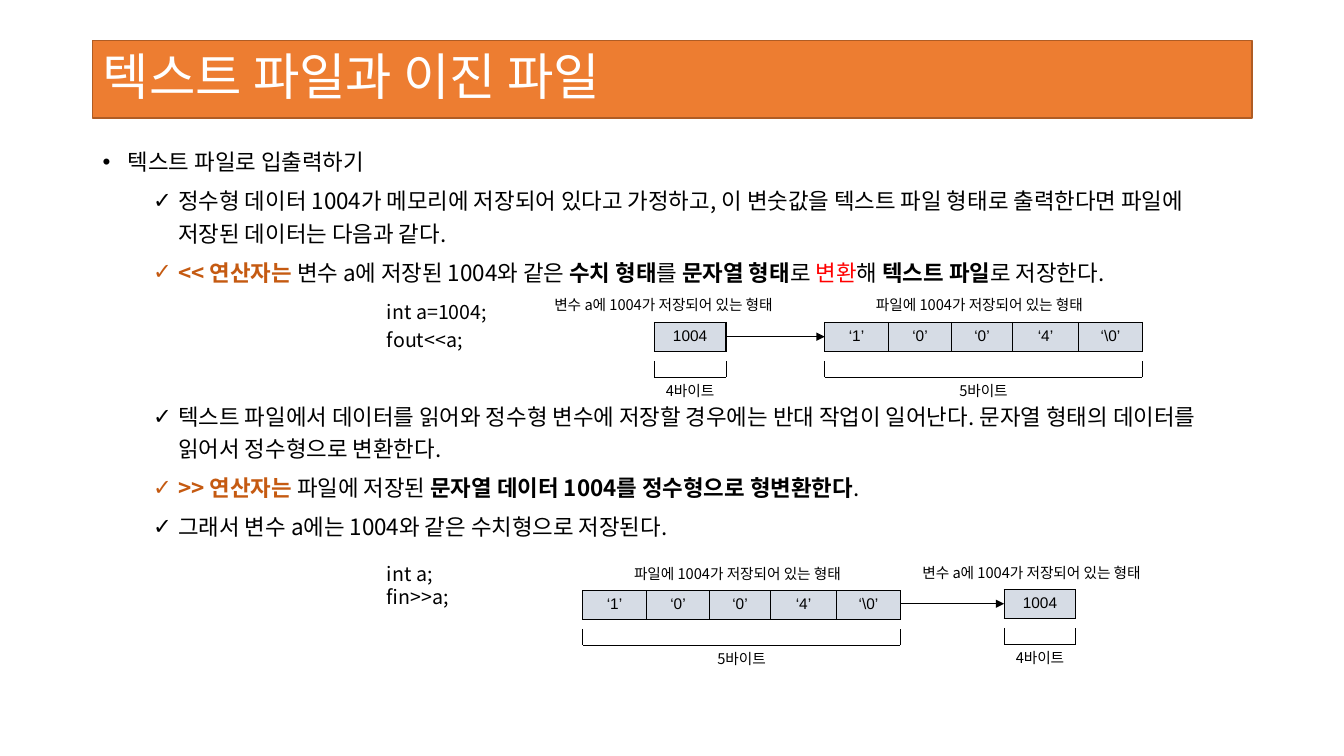
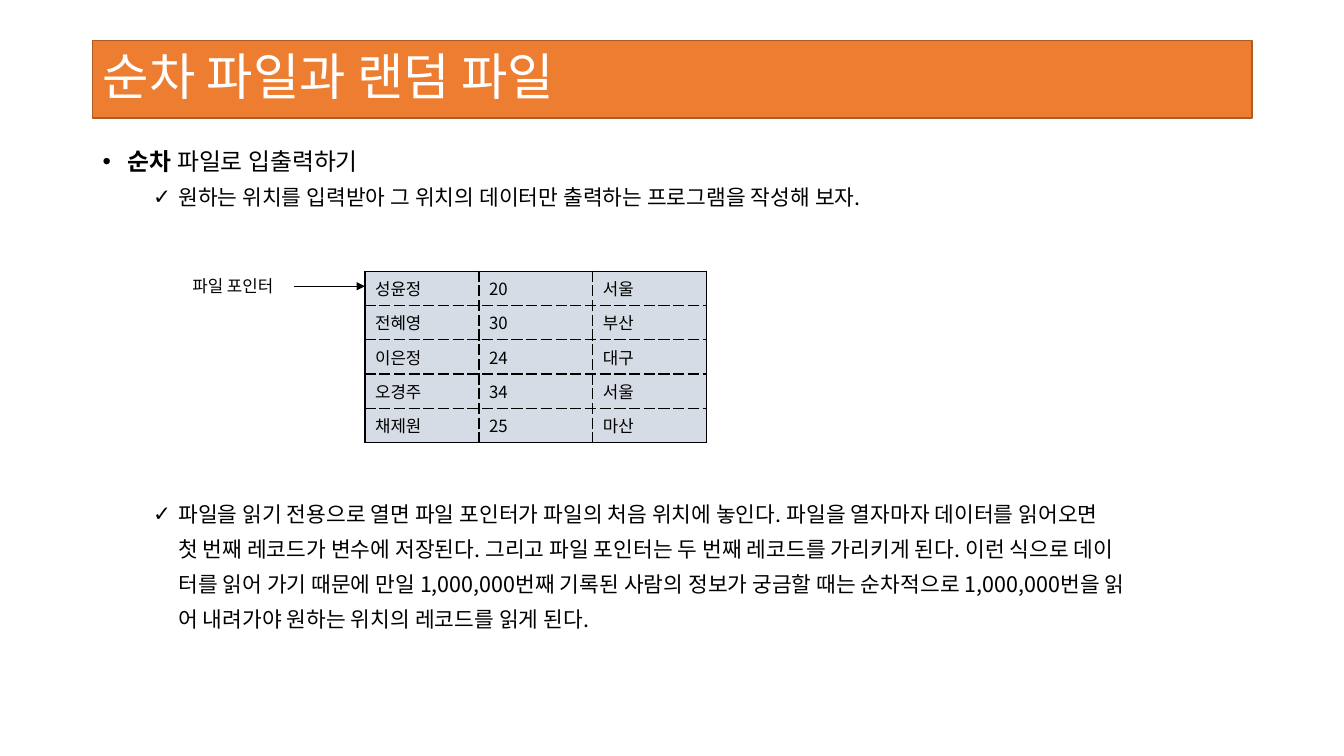
from lxml import etree
from pptx import Presentation
from pptx.dml.color import RGBColor
from pptx.enum.shapes import MSO_CONNECTOR, MSO_SHAPE
from pptx.enum.text import MSO_ANCHOR, PP_ALIGN
from pptx.oxml.ns import qn
from pptx.util import Inches, Pt

STRAIGHT = MSO_CONNECTOR.STRAIGHT
RECTANGLE = MSO_SHAPE.RECTANGLE
MIDDLE = MSO_ANCHOR.MIDDLE
LEFT, CENTER = PP_ALIGN.LEFT, PP_ALIGN.CENTER

COLORS = {
    "band": "ED7D31",
    "band_edge": "AF5C24",
    "white": "FFFFFF",
    "black": "000000",
    "operator": "C55A11",
    "alert": "FF0000",
    "cell": "D6DCE5",
}
KOREAN, LATIN = "Noto Sans CJK KR", "Arial"

# Bullet levels: character, left margin, space before
LEVELS = {
    "topic": ("•", 0.25, 10),
    "point": ("✓", 0.75, 5),
    "continued": (None, 0.75, 5),
}
CHARS = ["‘1’", "‘0’", "‘0’", "‘4’", "‘\\0’"]
CHAR_WIDTHS = [0.63, 0.63, 0.6, 0.66, 0.63]
INT_WIDTHS = [0.71]
VARIABLE_CAPTION = "변수 a에 1004가 저장되어 있는 형태"
FILE_CAPTION = "파일에 1004가 저장되어 있는 형태"


def rgb(name):
    return RGBColor.from_string(COLORS[name])


def add_run(paragraph, text, size=16, color="black", bold=False, font=KOREAN):
    run = paragraph.add_run()
    run.text = text
    run.font.size = Pt(size)
    run.font.bold = bold
    run.font.name = font
    run.font.color.rgb = rgb(color)
    east_asian = etree.SubElement(run.font._element, qn("a:ea"))
    east_asian.set("typeface", font)


def add_box(slide, left, top, width, height):
    box = slide.shapes.add_textbox(Inches(left), Inches(top), Inches(width), Inches(height))
    box.text_frame.word_wrap = True
    return box.text_frame


def next_paragraph(frame, index):
    return frame.add_paragraph() if index else frame.paragraphs[0]


def add_text(slide, left, top, width, height, *lines, align=LEFT, spacing=None, **style):
    frame = add_box(slide, left, top, width, height)
    for index, line in enumerate(lines):
        paragraph = next_paragraph(frame, index)
        paragraph.alignment = align
        if spacing:
            paragraph.line_spacing = Pt(spacing)
        add_run(paragraph, line, **style)


def add_title(slide, text):
    band = slide.shapes.add_shape(RECTANGLE, Inches(0.92), Inches(0.4), Inches(11.5), Inches(0.77))
    band.shadow.inherit = False
    band.fill.solid()
    band.fill.fore_color.rgb = rgb("band")
    band.line.color.rgb = rgb("band_edge")
    band.line.width = Pt(1)
    band.text_frame.vertical_anchor = MIDDLE
    paragraph = band.text_frame.paragraphs[0]
    paragraph.alignment = LEFT
    paragraph.line_spacing = 0.9
    add_run(paragraph, text, size=36, color="white")


def add_body(slide, items):
    """Each item: level, runs of (text, format), line height, extra format of the paragraph."""
    frame = add_box(slide, 0.92, 1.37, 11.5, 5.58)
    for index, (level, runs, size, line_height, gap) in enumerate(items):
        bullet, margin, before = LEVELS[level]
        paragraph = next_paragraph(frame, index)
        paragraph.line_spacing = Pt(line_height)
        paragraph.space_before = Pt(gap or before)
        properties = paragraph._p.get_or_add_pPr()
        properties.set("marL", str(Inches(margin)))
        properties.set("indent", str(Inches(-0.25 if bullet else 0)))
        if bullet:
            etree.SubElement(properties, qn("a:buFont")).set("typeface", LATIN)
            etree.SubElement(properties, qn("a:buChar")).set("char", bullet)
        for text, style in runs:
            add_run(paragraph, text, size=size, **style)


def add_line(slide, start, end, arrow=False):
    line = slide.shapes.add_connector(STRAIGHT, *(Inches(v) for v in (*start, *end)))
    line.line.color.rgb = rgb("black")
    line.line.width = Pt(0.5)
    if arrow:
        etree.SubElement(line.line._get_or_add_ln(), qn("a:tailEnd")).set("type", "triangle")
    etree.SubElement(line._element.spPr, qn("a:effectLst"))


def set_borders(cell, dashed_sides):
    properties = cell._tc.get_or_add_tcPr()
    for position, side in enumerate("LRTB"):
        border = etree.Element(qn(f"a:ln{side}"), w=str(Pt(1)))
        fill = etree.SubElement(border, qn("a:solidFill"))
        etree.SubElement(fill, qn("a:srgbClr")).set("val", COLORS["black"])
        dash = "lgDash" if side in dashed_sides else "solid"
        etree.SubElement(border, qn("a:prstDash")).set("val", dash)
        properties.insert(position, border)


def add_grid(slide, left, top, widths, row_height, rows, align=LEFT, **style):
    """Table with a solid outline and dashed lines between its rows and, in records, columns."""
    frame = slide.shapes.add_table(
        len(rows), len(widths), Inches(left), Inches(top),
        Inches(sum(widths)), Inches(row_height * len(rows)))
    table = frame.table
    table.first_row = table.horz_banding = False
    for column, width in zip(table.columns, widths):
        column.width = Inches(width)
    last_row, last_column = len(rows) - 1, len(widths) - 1
    for r, values in enumerate(rows):
        table.rows[r].height = Inches(row_height)
        for c, value in enumerate(values):
            cell = table.cell(r, c)
            cell.fill.solid()
            cell.fill.fore_color.rgb = rgb("cell")
            inner = {"L": c > 0, "R": c < last_column, "T": r > 0, "B": r < last_row}
            set_borders(cell, [side for side in inner if inner[side] and last_row])
            paragraph = cell.text_frame.paragraphs[0]
            paragraph.alignment = align
            add_run(paragraph, value, **style)


def add_storage(slide, left, top, widths, values, caption, caption_left, size_label):
    """Row of stored values with its caption, size bracket and size label."""
    right = left + sum(widths)
    bracket_top, bracket_bottom = top + 0.38, top + 0.54
    add_grid(slide, left, top, widths, 0.28, [values], align=CENTER, size=11, font=LATIN)
    add_text(slide, caption_left, top - 0.31, 2.9, 0.31, caption, size=10.5)
    corners = [(left, bracket_top), (left, bracket_bottom),
               (right, bracket_bottom), (right, bracket_top)]
    for start, end in zip(corners, corners[1:]):
        add_line(slide, start, end)
    add_text(slide, (left + right) / 2 - 0.5, bracket_bottom, 1, 0.31, size_label,
             align=CENTER, size=10.5)


def build_text_file_slide(slide):
    add_title(slide, "텍스트 파일과 이진 파일")
    plain, bold, operator = {}, {"bold": True}, {"bold": True, "color": "operator"}
    points = [
        ("topic", [("텍스트 파일로 입출력하기", plain)], None),
        ("point", [("정수형 데이터 1004가 메모리에 저장되어 있다고 가정하고, 이 변숫값을 텍스트 파일 "
                    "형태로 출력한다면 파일에 저장된 데이터는 다음과 같다.", plain)], None),
        ("point", [("<< 연산자는 ", operator), ("변수 a에 저장된 1004와 같은 ", plain),
                   ("수치 형태", bold), ("를 ", plain), ("문자열 형태", bold), ("로 ", plain),
                   ("변환", {"color": "alert"}), ("해 ", plain), ("텍스트 파일", bold),
                   ("로 저장한다.", plain)], None),
        ("point", [("텍스트 파일에서 데이터를 읽어와 정수형 변수에 저장할 경우에는 반대 작업이 "
                    "일어난다. 문자열 형태의 데이터를 읽어서 정수형으로 변환한다.", plain)], 80),
        ("point", [(">> 연산자는 ", operator), ("파일에 저장된 ", plain),
                   ("문자열 데이터 1004를 정수형으로 형변환한다", bold), (".", plain)], None),
        ("point", [("그래서 변수 a에는 1004와 같은 수치형으로 저장된다.", plain)], None),
    ]
    add_body(slide, [(level, runs, 16, 23, gap) for level, runs, gap in points])

    # Writing: variable to file
    add_text(slide, 3.74, 2.88, 1.66, 0.67, "int a=1004;", "fout<<a;", size=14, spacing=20)
    add_storage(slide, 6.49, 3.2, INT_WIDTHS, ["1004"], VARIABLE_CAPTION, 5.4, "4바이트")
    add_storage(slide, 8.18, 3.2, CHAR_WIDTHS, CHARS, FILE_CAPTION, 8.59, "5바이트")
    add_line(slide, (7.2, 3.34), (8.18, 3.34), arrow=True)

    # Reading: file to variable
    add_text(slide, 3.74, 5.53, 1.66, 0.57, "int a;", "fin>>a;", size=14, spacing=16.5)
    add_storage(slide, 5.78, 5.86, CHAR_WIDTHS, CHARS, FILE_CAPTION, 6.19, "5바이트")
    add_storage(slide, 9.96, 5.85, INT_WIDTHS, ["1004"], VARIABLE_CAPTION, 9.05, "4바이트")
    add_line(slide, (8.93, 5.99), (9.96, 5.99), arrow=True)


def build_sequential_file_slide(slide):
    add_title(slide, "순차 파일과 랜덤 파일")
    points = [
        ("point", "원하는 위치를 입력받아 그 위치의 데이터만 출력하는 프로그램을 작성해 보자.", None),
        ("point", "파일을 읽기 전용으로 열면 파일 포인터가 파일의 처음 위치에 놓인다. "
                  "파일을 열자마자 데이터를 읽어오면", 206),
        ("continued", "첫 번째 레코드가 변수에 저장된다. 그리고 파일 포인터는 두 번째 레코드를 "
                      "가리키게 된다. 이런 식으로 데이", None),
        ("continued", "터를 읽어 가기 때문에 만일 1,000,000번째 기록된 사람의 정보가 궁금할 때는 "
                      "순차적으로 1,000,000번을 읽", None),
        ("continued", "어 내려가야 원하는 위치의 레코드를 읽게 된다.", None),
    ]
    topic = ("topic", [("순차", {"bold": True}), (" 파일로 입출력하기", {})], 17, 23, None)
    add_body(slide, [topic] + [(level, [(text, {})], 15.3, 20, gap)
                               for level, text, gap in points])

    # Records and file pointer
    records = [
        ("성윤정", "20", "서울"),
        ("전혜영", "30", "부산"),
        ("이은정", "24", "대구"),
        ("오경주", "34", "서울"),
        ("채제원", "25", "마산"),
    ]
    add_grid(slide, 3.62, 2.69, [1.13] * 3, 0.34, records, size=12)
    add_text(slide, 1.81, 2.69, 1.1, 0.3, "파일 포인터", size=12)
    add_line(slide, (2.92, 2.84), (3.62, 2.84), arrow=True)


def main():
    presentation = Presentation()
    presentation.slide_width = Inches(13.33)
    presentation.slide_height = Inches(7.5)
    blank = presentation.slide_layouts[6]
    for build in (build_text_file_slide, build_sequential_file_slide):
        build(presentation.slides.add_slide(blank))
    presentation.save("out.pptx")


if __name__ == "__main__":
    main()
